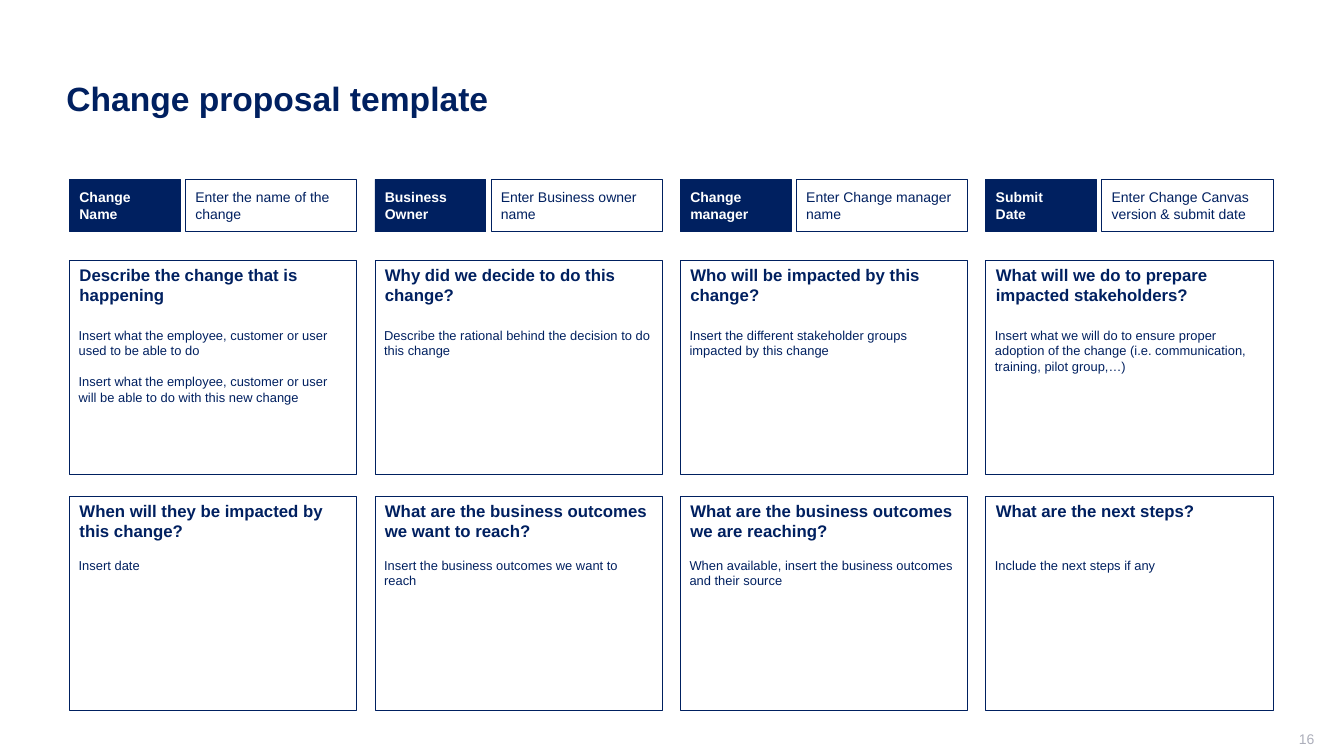
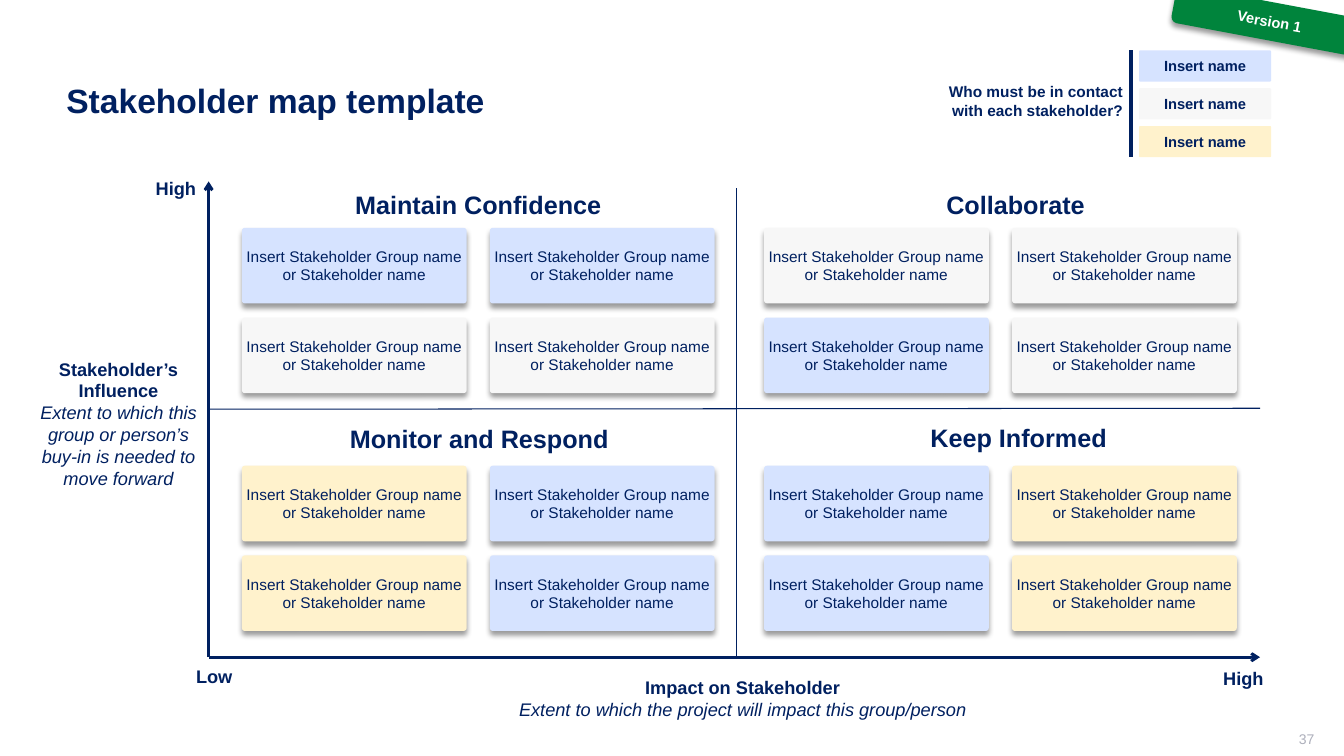
from dataclasses import dataclass

from lxml.etree import SubElement
from pptx import Presentation
from pptx.dml.color import RGBColor
from pptx.enum.shapes import MSO_CONNECTOR, MSO_SHAPE
from pptx.enum.text import MSO_ANCHOR, PP_ALIGN
from pptx.oxml.ns import qn
from pptx.util import Inches, Pt


@dataclass(frozen=True)
class Theme:
    """Hold the colours, type sizes and line widths of the deck."""

    font: str = "Arial"
    navy: str = "002060"
    white: str = "FFFFFF"
    grey: str = "ADAFBB"
    blue: str = "D6E3FF"
    pale: str = "F7F7F7"
    yellow: str = "FFF2CC"
    green: str = "00843C"
    title: float = 24
    quadrant: float = 18
    axis: float = 13
    card: float = 12
    tile: float = 11
    badge: float = 10.5
    small: float = 10
    body: float = 9.2
    corner: float = 0.04
    outline: float = 0.5
    divider: float = 0.75
    arrow: float = 2
    bar: float = 2.25


THEME = Theme()
STEP = Inches(0.1)
COLUMNS, ROWS = 133.33, 75
PLAIN_INSETS = (1, 0.5, 1, 0.5)
LABEL_INSETS = (0.7, 0.4, 0.7, 0.4)
BODY_INSETS = (0.9, 0.5, 0.9, 0.5)
TILE_INSETS = (0.2, 0.5, 0.2, 0.5)


def steps(count):
    """Turn grid steps into a length."""
    return round(count * STEP)


@dataclass(frozen=True)
class Box:
    """Describe a region in grid steps."""

    left: float
    top: float
    width: float
    height: float

    def within(self, left, top, width, height):
        """Return a region placed relative to this one."""
        return Box(self.left + left, self.top + top, width, height)

    def cells(self, columns, rows, gap_x=0, gap_y=0):
        """Split the region into equal cells, row by row."""
        width = (self.width - gap_x * (columns - 1)) / columns
        height = (self.height - gap_y * (rows - 1)) / rows
        return [
            self.within(column * (width + gap_x), row * (height + gap_y), width, height)
            for row in range(rows)
            for column in range(columns)
        ]

    def lengths(self):
        """Return left, top, width and height for a shape."""
        return [steps(n) for n in (self.left, self.top, self.width, self.height)]


@dataclass(frozen=True)
class Style:
    """Describe how a piece of text looks."""

    size: float
    color: str = THEME.navy
    bold: bool = False
    italic: bool = False


def write(shape, lines, align=PP_ALIGN.LEFT, anchor=MSO_ANCHOR.TOP,
          insets=PLAIN_INSETS, spacing=None, gap=0):
    """Fill a shape with one paragraph per (text, style) pair."""
    frame = shape.text_frame
    frame.word_wrap = True
    frame.vertical_anchor = anchor
    frame.margin_left, frame.margin_top, frame.margin_right, frame.margin_bottom = map(steps, insets)
    for index, (text, style) in enumerate(lines):
        para = frame.add_paragraph() if index else frame.paragraphs[0]
        para.alignment = align
        if spacing:
            para.line_spacing = spacing
        if index and gap:
            para.space_before = Pt(gap)
        span = para.add_run()
        span.text = text
        font = span.font
        font.name, font.size = THEME.font, Pt(style.size)
        font.bold, font.italic = style.bold, style.italic
        font.color.rgb = RGBColor.from_string(style.color)


def add_text(page, box, lines, **layout):
    """Place a text box."""
    write(page.shapes.add_textbox(*box.lengths()), lines, **layout)


def add_panel(page, box, fill, lines, kind=MSO_SHAPE.RECTANGLE, outline=None, **layout):
    """Place a filled shape with text and return it."""
    shape = page.shapes.add_shape(kind, *box.lengths())
    shape.shadow.inherit = False
    shape.fill.solid()
    shape.fill.fore_color.rgb = RGBColor.from_string(fill)
    if outline:
        shape.line.color.rgb = RGBColor.from_string(outline)
        shape.line.width = Pt(THEME.outline)
    else:
        shape.line.fill.background()
    write(shape, lines, **layout)
    return shape


def add_tile(page, box, fill, text, style):
    """Place a slightly rounded, centred tile and return it."""
    tile = add_panel(page, box, fill, [(text, style)], MSO_SHAPE.ROUNDED_RECTANGLE,
                     align=PP_ALIGN.CENTER, anchor=MSO_ANCHOR.MIDDLE, insets=TILE_INSETS)
    tile.adjustments[0] = THEME.corner
    return tile


def drop_shadow(shape):
    """Give a shape a soft shadow below it."""
    effects = shape.element.spPr.find(qn("a:effectLst"))
    shadow = SubElement(effects, qn("a:outerShdw"), blurRad=str(Pt(4)), dist=str(Pt(3)),
                        dir="5400000", algn="t", rotWithShape="0")
    color = SubElement(shadow, qn("a:srgbClr"), val="000000")
    SubElement(color, qn("a:alpha"), val="40000")


def add_line(page, start, end, width, arrow=False):
    """Draw a straight navy line, with an arrowhead if asked."""
    line = page.shapes.add_connector(MSO_CONNECTOR.STRAIGHT, *map(steps, (*start, *end)))
    line.line.color.rgb = RGBColor.from_string(THEME.navy)
    line.line.width = Pt(width)
    properties = line.element.spPr
    if arrow:
        SubElement(properties.find(qn("a:ln")), qn("a:tailEnd"), type="arrow")
    SubElement(properties, qn("a:effectLst"))


def add_page(deck, title, number, spacing=None):
    """Add a blank slide with the shared title and page number."""
    page = deck.slides.add_slide(deck.slide_layouts[6])
    add_text(page, Box(5.6, 4, 121.1 if spacing else 79.4, 11.9),
             [(title, Style(THEME.title, bold=True))], anchor=MSO_ANCHOR.MIDDLE, spacing=spacing)
    add_text(page, Box(100.4, 72.5, 30, 2.1), [(number, Style(THEME.small, THEME.grey))],
             align=PP_ALIGN.RIGHT, anchor=MSO_ANCHOR.MIDDLE, insets=(1, 0, 0, 0.5))
    return page


HEADER_FIELDS = [
    (["Change", "Name"], "Enter the name of the change"),
    (["Business Owner"], "Enter Business owner name"),
    (["Change manager"], "Enter Change manager name"),
    (["Submit", "Date"], "Enter Change Canvas version & submit date"),
]
CARDS = [
    ("Describe the change that is happening",
     ["Insert what the employee, customer or user used to be able to do",
      "Insert what the employee, customer or user will be able to do with this new change"]),
    ("Why did we decide to do this change?",
     ["Describe the rational behind the decision to do this change"]),
    ("Who will be impacted by this change?",
     ["Insert the different stakeholder groups impacted by this change"]),
    ("What will we do to prepare impacted stakeholders?",
     ["Insert what we will do to ensure proper adoption of the change "
      "(i.e. communication, training, pilot group,…)"]),
    ("When will they be impacted by this change?", ["Insert date"]),
    ("What are the business outcomes we want to reach?",
     ["Insert the business outcomes we want to reach"]),
    ("What are the business outcomes we are reaching?",
     ["When available, insert the business outcomes and their source"]),
    ("What are the next steps?", ["Include the next steps if any"]),
]


def add_header_field(page, box, label, hint):
    """Place a dark label and the field beside it."""
    label_style = Style(THEME.small, THEME.white, bold=True)
    add_panel(page, box.within(0, 0, 11, box.height), THEME.navy,
              [(text, label_style) for text in label],
              outline=THEME.navy, anchor=MSO_ANCHOR.MIDDLE)
    add_panel(page, box.within(11.5, 0, 17, box.height), THEME.white,
              [(hint, Style(THEME.small))], outline=THEME.navy, anchor=MSO_ANCHOR.MIDDLE)


def add_card(page, box, question, hints, drop):
    """Place an outlined card with a question and its hints."""
    add_panel(page, box, THEME.white, [(question, Style(THEME.card, bold=True))],
              outline=THEME.navy)
    add_text(page, box.within(0, drop, box.width, 8.7),
             [(hint, Style(THEME.body)) for hint in hints], insets=BODY_INSETS, gap=11)


def add_proposal_page(deck):
    """Build the change proposal canvas."""
    page = add_page(deck, "Change proposal template", "16", spacing=0.9)
    canvas = Box(6.9, 17.8, 119.4, 52.7)
    header = canvas.within(0, 0, canvas.width, 5.2)
    for box, field in zip(header.cells(4, 1, 1.8), HEADER_FIELDS):
        add_header_field(page, box, *field)
    cards = canvas.within(0, 8, canvas.width, 44.7).cells(4, 2, 1.8, 2.1)
    for index, (box, card) in enumerate(zip(cards, CARDS)):
        add_card(page, box, *card, drop=6.2 if index < 4 else 5.6)


@dataclass(frozen=True)
class Quadrant:
    """Describe one quadrant: tile origin, heading offsets and tile fills."""

    title: str
    left: float
    top: float
    shift: float
    rise: float
    fills: tuple


QUADRANTS = [
    Quadrant("Maintain Confidence", 3.3, 4.6, 0, 4.2,
             (THEME.blue, THEME.blue, THEME.pale, THEME.pale)),
    Quadrant("Collaborate", 55.1, 4.6, 1.5, 4.2,
             (THEME.pale, THEME.pale, THEME.blue, THEME.pale)),
    Quadrant("Monitor and Respond", 3.3, 28.2, 0.1, 4.6,
             (THEME.yellow, THEME.blue, THEME.yellow, THEME.blue)),
    Quadrant("Keep Informed", 55.1, 28.2, 1.8, 4.7,
             (THEME.blue, THEME.yellow, THEME.blue, THEME.yellow)),
]


def add_quadrant(page, matrix, quadrant):
    """Place a quadrant heading and its four tiles."""
    box = matrix.within(quadrant.left, quadrant.top, 46.9, 16.4)
    add_text(page, box.within(quadrant.shift, -quadrant.rise, box.width, 3.7),
             [(quadrant.title, Style(THEME.quadrant, bold=True))],
             align=PP_ALIGN.CENTER, insets=LABEL_INSETS)
    for cell, fill in zip(box.cells(2, 2, 2.3, 1.4), quadrant.fills):
        drop_shadow(add_tile(page, cell, fill, "Insert Stakeholder Group name or Stakeholder name",
                             Style(THEME.tile)))


def add_axes(page, box):
    """Draw the axes, the dividers and their labels."""
    right, bottom = box.left + box.width, box.top + box.height
    origin, middle = (box.left, bottom), box.left + 52.4
    add_line(page, (box.left, box.top + 22.6), (right, box.top + 22.5), THEME.divider)
    add_line(page, (middle, bottom), (middle, box.top + 0.7), THEME.divider)
    add_line(page, origin, (box.left, box.top), THEME.arrow, arrow=True)
    add_line(page, origin, (right, bottom), THEME.arrow, arrow=True)
    strong, soft = Style(THEME.axis, bold=True), Style(THEME.axis, italic=True)
    labels = [
        (box.within(-7.25, -0.8, 8, 2.9), [("High", strong)]),
        (box.within(-3.45, 47.6, 8, 2.9), [("Low", strong)]),
        (box.within(98.65, 47.8, 8, 2.9), [("High", strong)]),
        (box.within(-18.5, 17.1, 19.1, 13.8),
         [("Stakeholder’s Influence", strong),
          ("Extent to which this group or person’s buy-in is needed to move forward", soft)]),
        (box.within(25.7, 48.7, 54.5, 6.1),
         [("Impact on Stakeholder", strong),
          ("Extent to which the project will impact this group/person", soft)]),
    ]
    for place, lines in labels:
        add_text(page, place, lines, align=PP_ALIGN.CENTER, insets=LABEL_INSETS)


def add_legend(page, box):
    """Place the contact question, the bar and the named colours."""
    add_text(page, box.within(-22, 2.7, 21.4, 4.9),
             [("Who must be in contact with each stakeholder?", Style(THEME.tile, bold=True))],
             align=PP_ALIGN.RIGHT)
    bar = box.left - 0.8
    add_line(page, (bar, box.top), (bar, box.top + box.height), THEME.bar)
    for cell, fill in zip(box.cells(1, 3, 0, 0.65), (THEME.blue, THEME.pale, THEME.yellow)):
        add_tile(page, cell, fill, "Insert name", Style(THEME.badge, bold=True))


def add_version_ribbon(page, box):
    """Place the tilted version ribbon."""
    ribbon = add_panel(page, box, THEME.green,
                       [("Version 1", Style(THEME.badge, THEME.white, bold=True))],
                       MSO_SHAPE.ROUNDED_RECTANGLE, align=PP_ALIGN.CENTER,
                       anchor=MSO_ANCHOR.MIDDLE)
    ribbon.rotation = 10.6
    drop_shadow(ribbon)


def add_stakeholder_page(deck):
    """Build the stakeholder map."""
    page = add_page(deck, "Stakeholder map template", "37")
    matrix = Box(20.7, 18, 104.3, 47.2)
    add_axes(page, matrix)
    for quadrant in QUADRANTS:
        add_quadrant(page, matrix, quadrant)
    add_legend(page, Box(113, 5, 13.1, 10.6))
    add_version_ribbon(page, Box(116.3, 0.2, 19.3, 3.8))


def main():
    """Build and save the deck."""
    deck = Presentation()
    deck.slide_width, deck.slide_height = steps(COLUMNS), steps(ROWS)
    add_proposal_page(deck)
    add_stakeholder_page(deck)
    deck.save("out.pptx")


if __name__ == "__main__":
    main()
